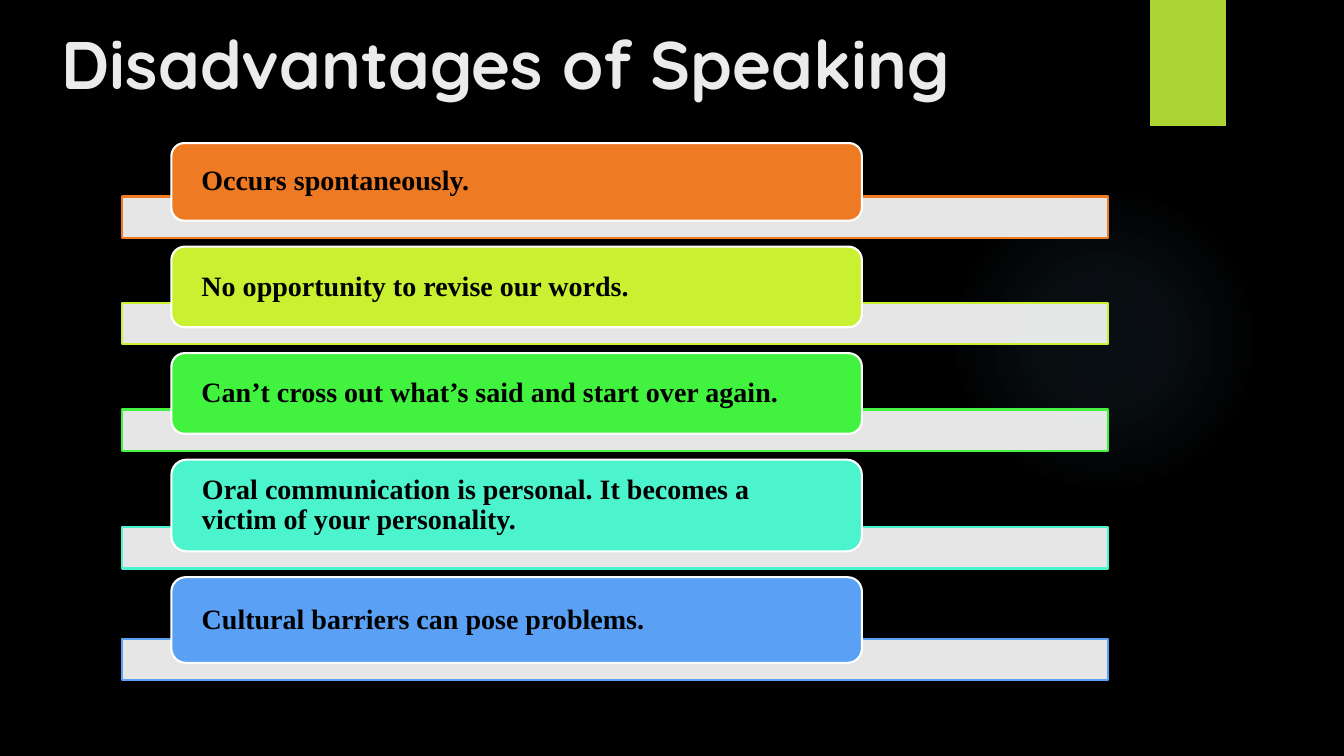
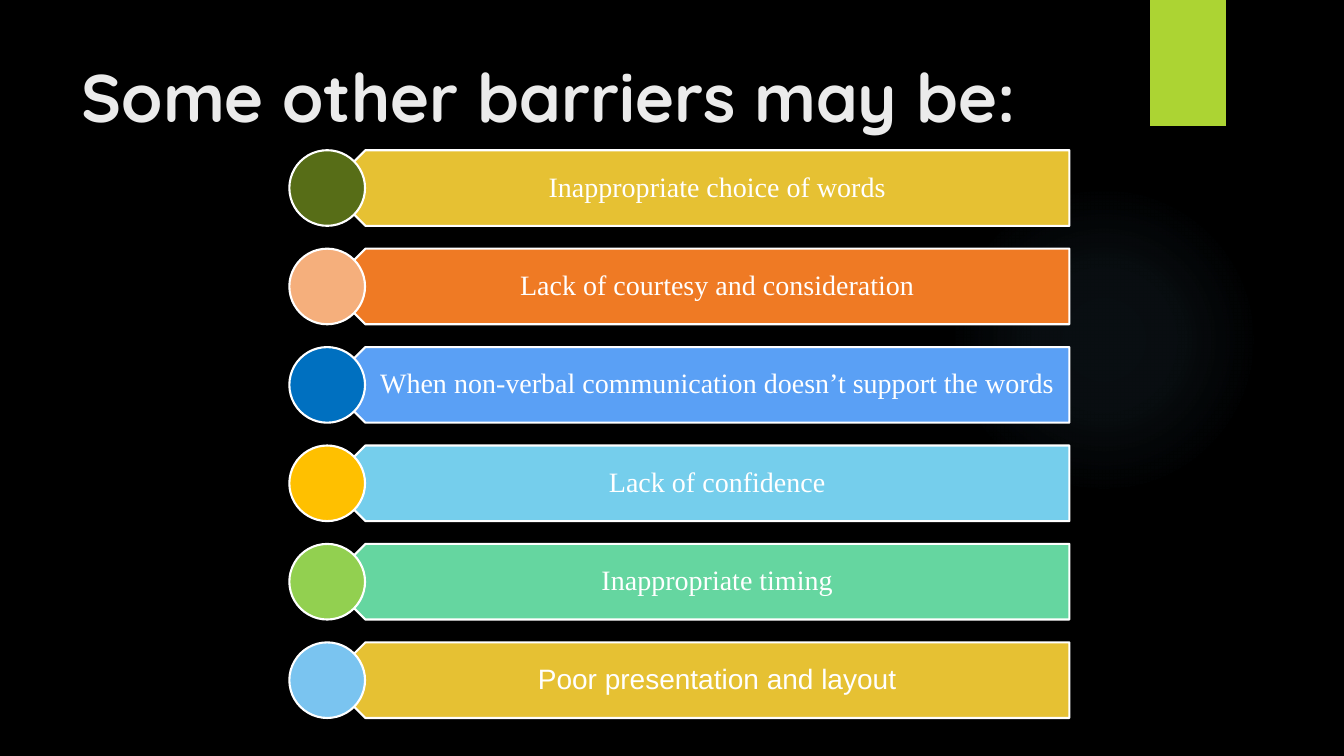
from dataclasses import dataclass

from lxml import etree
from pptx import Presentation
from pptx import util as u
from pptx.dml.color import RGBColor
from pptx.enum import shapes, text
from pptx.oxml import parse_xml
from pptx.oxml.ns import nsdecls, qn

BLACK = RGBColor(0x00, 0x00, 0x00)
WHITE = RGBColor(0xFF, 0xFF, 0xFF)
PALE = RGBColor(0xEB, 0xEB, 0xEB)
LIME = RGBColor(0xAC, 0xD4, 0x33)
ORANGE = RGBColor(0xEF, 0x7A, 0x24)
LEMON = RGBColor(0xC9, 0xF1, 0x31)
GREEN = RGBColor(0x41, 0xF2, 0x3F)
AQUA = RGBColor(0x4C, 0xF4, 0xCD)
BLUE = RGBColor(0x5A, 0xA0, 0xF5)
GOLD = RGBColor(0xE6, 0xC1, 0x33)
CYAN = RGBColor(0x75, 0xCE, 0xEC)
MINT = RGBColor(0x65, 0xD6, 0xA0)
OLIVE = RGBColor(0x57, 0x6D, 0x17)
PEACH = RGBColor(0xF5, 0xAF, 0x7C)
NAVY = RGBColor(0x00, 0x70, 0xC0)
AMBER = RGBColor(0xFF, 0xC0, 0x00)
LEAF = RGBColor(0x92, 0xD0, 0x50)
SKY = RGBColor(0x7A, 0xC4, 0xF0)

HIGH = u.Inches(7.5)
WIDE = HIGH * 16 // 9
SERIF = "Times New Roman"
KIND = shapes.MSO_SHAPE
LEFT, MID = text.PP_ALIGN.LEFT, text.PP_ALIGN.CENTER


@dataclass
class Box:
    """Shares of the slide's width and height, in percent."""
    x: float
    y: float
    w: float
    h: float

    def emu(self) -> tuple[int, int, int, int]:
        return (round(self.x * WIDE / 100), round(self.y * HIGH / 100),
                round(self.w * WIDE / 100), round(self.h * HIGH / 100))


@dataclass
class Card:
    words: str
    color: RGBColor
    h: float


@dataclass
class Plate:
    words: str
    color: RGBColor
    dot: RGBColor
    font: str = SERIF


CARDS = [
    Card("Occurs spontaneously.", ORANGE, 10.27),
    Card("No opportunity to revise our words.", LEMON, 10.67),
    Card("Can’t cross out what’s said and start over again.", GREEN, 10.67),
    Card("Oral communication is personal. It becomes a victim of your personality.",
         AQUA, 12.13),
    Card("Cultural barriers can pose problems.", BLUE, 11.33),
]
PLATES = [
    Plate("Inappropriate choice of words", GOLD, OLIVE),
    Plate("Lack of courtesy and consideration", ORANGE, PEACH),
    Plate("When non-verbal communication doesn’t support the words", BLUE, NAVY),
    Plate("Lack of confidence", CYAN, AMBER),
    Plate("Inappropriate timing", MINT, LEAF),
    Plate("Poor presentation and layout", GOLD, SKY, "Arial"),
]


def draw(slide, kind, box: Box, fill: RGBColor, line: RGBColor | None = None):
    shape = slide.shapes.add_shape(kind, *box.emu())
    shape.shadow.inherit = False
    shape.fill.solid()
    shape.fill.fore_color.rgb = fill
    if line is None:
        shape.line.fill.background()
    else:
        shape.line.color.rgb = line
        shape.line.width = u.Pt(1.5)
    return shape


def write(shape, words: str, *, font: str = SERIF, size: float = 20,
          color: RGBColor = WHITE, bold: bool = False, align=LEFT,
          anchor=text.MSO_ANCHOR.MIDDLE, pad=(0.1, 0.05, 0.1, 0.05),
          space: float = 1.0) -> None:
    frame = shape.text_frame
    frame.text = words
    frame.word_wrap = True
    frame.auto_size = text.MSO_AUTO_SIZE.NONE
    frame.vertical_anchor = anchor
    (frame.margin_left, frame.margin_top,
     frame.margin_right, frame.margin_bottom) = map(u.Inches, pad)
    para = frame.paragraphs[0]
    para.alignment = align
    para.line_spacing = space
    face = para.runs[0].font
    face.name, face.size, face.bold = font, u.Pt(size), bold
    face.color.rgb = color


def fade(shape, share: int) -> None:
    tint = shape.element.spPr.find(".//" + qn("a:srgbClr"))
    etree.SubElement(tint, qn("a:alpha")).set("val", str(share * 1000))


def glow(shape) -> None:
    stops = "".join(
        f'<a:gs pos="{pos}000"><a:srgbClr val="{SKY}">'
        f'<a:alpha val="{share}000"/></a:srgbClr></a:gs>'
        for pos, share in ((0, 7), (36, 6), (69, 0), (100, 0)))
    grad = parse_xml(
        f'<a:gradFill {nsdecls("a")}><a:gsLst>{stops}</a:gsLst>'
        '<a:path path="circle"><a:fillToRect l="50000" t="50000" '
        'r="50000" b="50000"/></a:path></a:gradFill>')
    props = shape.element.spPr
    props.replace(props.find(qn("a:solidFill")), grad)


def dress(layout, slide) -> None:
    back = layout.background.fill
    back.solid()
    back.fore_color.rgb = BLACK
    halo = draw(slide, KIND.OVAL, Box(70.58, 24.4, 23.1, 41.07), SKY)
    glow(halo)
    band = draw(slide, KIND.RECTANGLE, Box(85.58, 0, 5.63, 16.67), LIME)
    for shape in (halo, band):
        layout.shapes.element.append(shape.element)


def head(slide, words: str, box: Box) -> None:
    title = slide.shapes.title
    title.left, title.top, title.width, title.height = box.emu()
    write(title, words, font="Quicksand", size=48, color=PALE, bold=True,
          anchor=text.MSO_ANCHOR.TOP)


def stack(slide, cards: list[Card]) -> None:
    top, gap, tuck = 18.93, 3.42, 3.2
    for card in cards:
        end = top + card.h
        bar = draw(slide, KIND.RECTANGLE, Box(9.08, end - tuck, 73.35, 5.47),
                   WHITE, card.color)
        fade(bar, 90)
        face = draw(slide, KIND.ROUNDED_RECTANGLE,
                    Box(12.75, top, 51.38, card.h), card.color, WHITE)
        write(face, card.words, color=BLACK, bold=True,
              pad=(0.26, 0, 0.26, 0), space=0.9)
        top = end + gap


def ladder(slide, plates: list[Plate]) -> None:
    for row, plate in enumerate(plates):
        top = 19.87 + row * 13.02
        arrow = draw(slide, KIND.PENTAGON, Box(24.37, top, 55.2, 10),
                     plate.color, WHITE)
        arrow.rotation = 180
        label = slide.shapes.add_textbox(*Box(25.8, top, 53.85, 10).emu())
        write(label, plate.words, font=plate.font, align=MID,
              pad=(0.32, 0.08, 0.15, 0.08), space=0.9)
        draw(slide, KIND.OVAL, Box(21.53, top, 5.63, 10), plate.dot, WHITE)


def main() -> None:
    deck = Presentation()
    deck.slide_width, deck.slide_height = WIDE, HIGH
    layout = deck.slide_layouts[5]
    first, second = (deck.slides.add_slide(layout) for _ in range(2))
    dress(layout, first)
    head(first, "Disadvantages of Speaking", Box(3.83, 2.27, 77.18, 13.33))
    stack(first, CARDS)
    head(second, "Some other barriers may be:", Box(5.33, 6.67, 77.18, 20.4))
    ladder(second, PLATES)
    deck.save("out.pptx")


if __name__ == "__main__":
    main()
